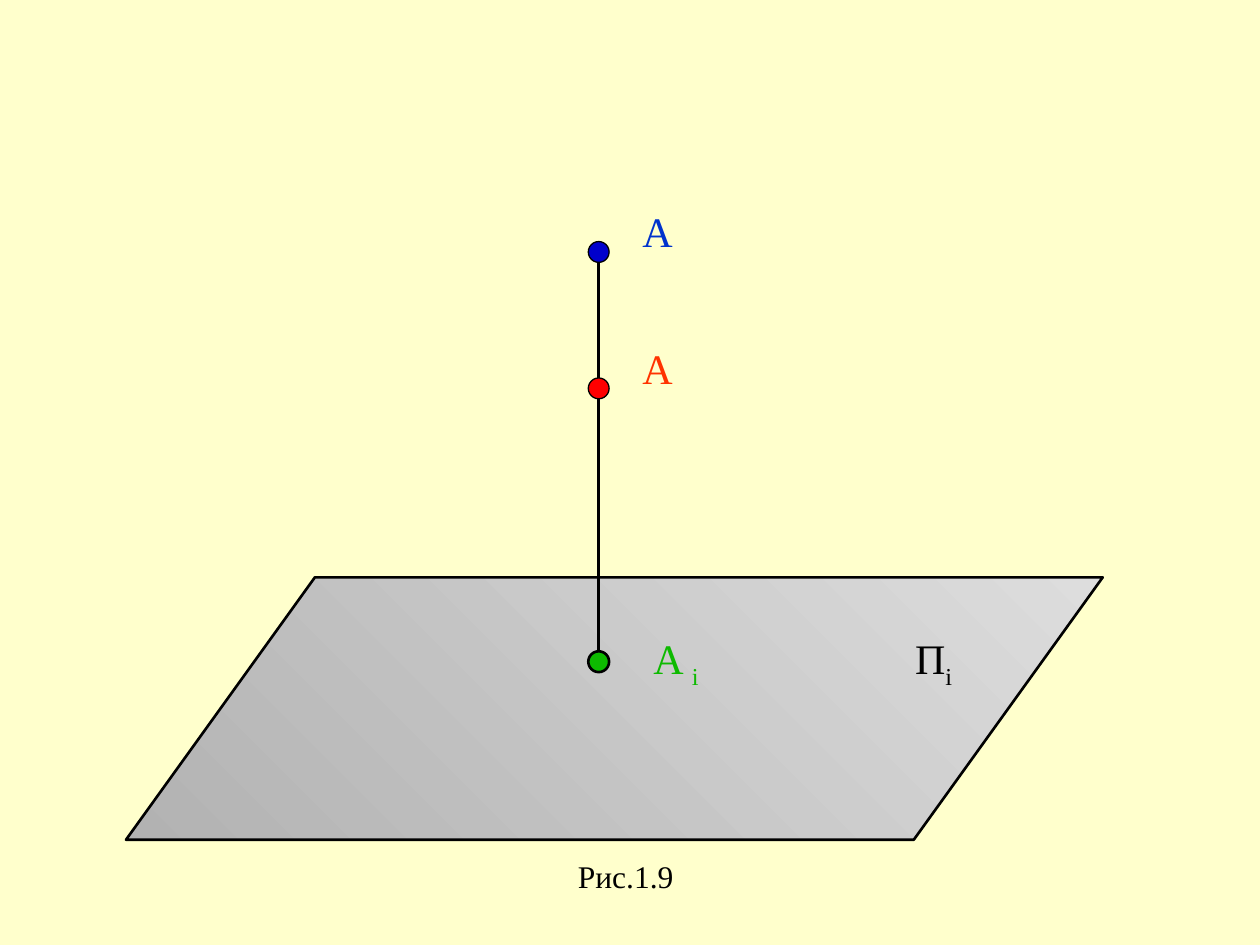
"""Build a slide showing points on one ray projected onto a plane."""
from dataclasses import dataclass

from lxml.etree import SubElement
from pptx import Presentation
from pptx.dml.color import RGBColor
from pptx.enum.shapes import MSO_CONNECTOR, MSO_SHAPE
from pptx.enum.text import MSO_AUTO_SIZE
from pptx.oxml.ns import qn
from pptx.util import Cm, Pt


@dataclass(frozen=True)
class Theme:
    font: str = "Times New Roman"
    label: int = 24
    caption: int = 18
    thin: float = 0.75
    thick: float = 1.5
    paper: str = "FFFFCC"
    ink: str = "000000"
    plane_dark: str = "B2B2B2"
    plane_light: str = "DDDDDD"
    blue_dot: str = "0000CC"
    blue_text: str = "0033CC"
    red_dot: str = "FF0000"
    red_text: str = "FF3300"
    green: str = "0DBA00"


T = Theme()


def add_text(shapes, text, *, box, color, size=T.label, sub="", wrap=False):
    tf = shapes.add_textbox(*map(Cm, box)).text_frame
    tf.word_wrap = wrap
    tf.auto_size = MSO_AUTO_SIZE.SHAPE_TO_FIT_TEXT
    p = tf.paragraphs[0]
    for part, baseline in ((text, None), (sub, "-25000")):
        if not part:
            continue
        r = p.add_run()
        r.text = part
        r.font.name = T.font
        r.font.size = Pt(size)
        r.font.color.rgb = RGBColor.from_string(color)
        if baseline:
            r._r.get_or_add_rPr().set("baseline", baseline)


def set_line(line, width):
    line.color.rgb = RGBColor.from_string(T.ink)
    line.width = Pt(width)


prs = Presentation()
prs.slide_width, prs.slide_height = Cm(25.4), Cm(19.05)
s = prs.slides.add_slide(prs.slide_layouts[6])
s.background.fill.solid()
s.background.fill.fore_color.rgb = RGBColor.from_string(T.paper)

plane = s.shapes.add_shape(MSO_SHAPE.PARALLELOGRAM, Cm(2.54), Cm(11.64), Cm(19.69), Cm(5.29))
plane.shadow.inherit = False
plane.adjustments[0] = 0.72
plane.fill.gradient()
plane.fill.gradient_angle = 45
for stop, color in zip(plane.fill.gradient_stops, (T.plane_dark, T.plane_light)):
    stop.color.rgb = RGBColor.from_string(color)
set_line(plane.line, T.thick)

RAY_X, DOT = 12.07, 0.42
points = [
    (5.08, 7.83, T.blue_dot, T.thin, dict(text="A", box=(12.7, 4.02, 1.48, 1.27), color=T.blue_text, wrap=True)),
    (7.83, 13.34, T.red_dot, T.thin, dict(text="A", box=(12.7, 6.78, 1.48, 1.27), color=T.red_text, wrap=True)),
    (13.34, None, T.green, T.thick, dict(text="A ", sub="i", box=(12.92, 12.63, 1.48, 1.42), color=T.green)),
]
for y, next_y, color, width, label in points:
    group = s.shapes.add_group_shape().shapes
    if next_y:
        ray = group.add_connector(MSO_CONNECTOR.STRAIGHT, Cm(RAY_X), Cm(next_y - DOT / 2), Cm(RAY_X), Cm(y))
        set_line(ray.line, T.thick)
        SubElement(ray._element.spPr, qn("a:effectLst"))
    dot = group.add_shape(MSO_SHAPE.OVAL, Cm(RAY_X - DOT / 2), Cm(y - DOT / 2), Cm(DOT), Cm(DOT))
    dot.shadow.inherit = False
    dot.fill.solid()
    dot.fill.fore_color.rgb = RGBColor.from_string(color)
    set_line(dot.line, width)
    add_text(group, **label)

add_text(s.shapes, "П", sub="i", box=(18.2, 12.63, 1.32, 1.42), color=T.ink)
add_text(s.shapes, "Рис.1.9", size=T.caption, box=(11.4, 17.15, 2.44, 1.02), color=T.ink)

prs.save("out.pptx")
